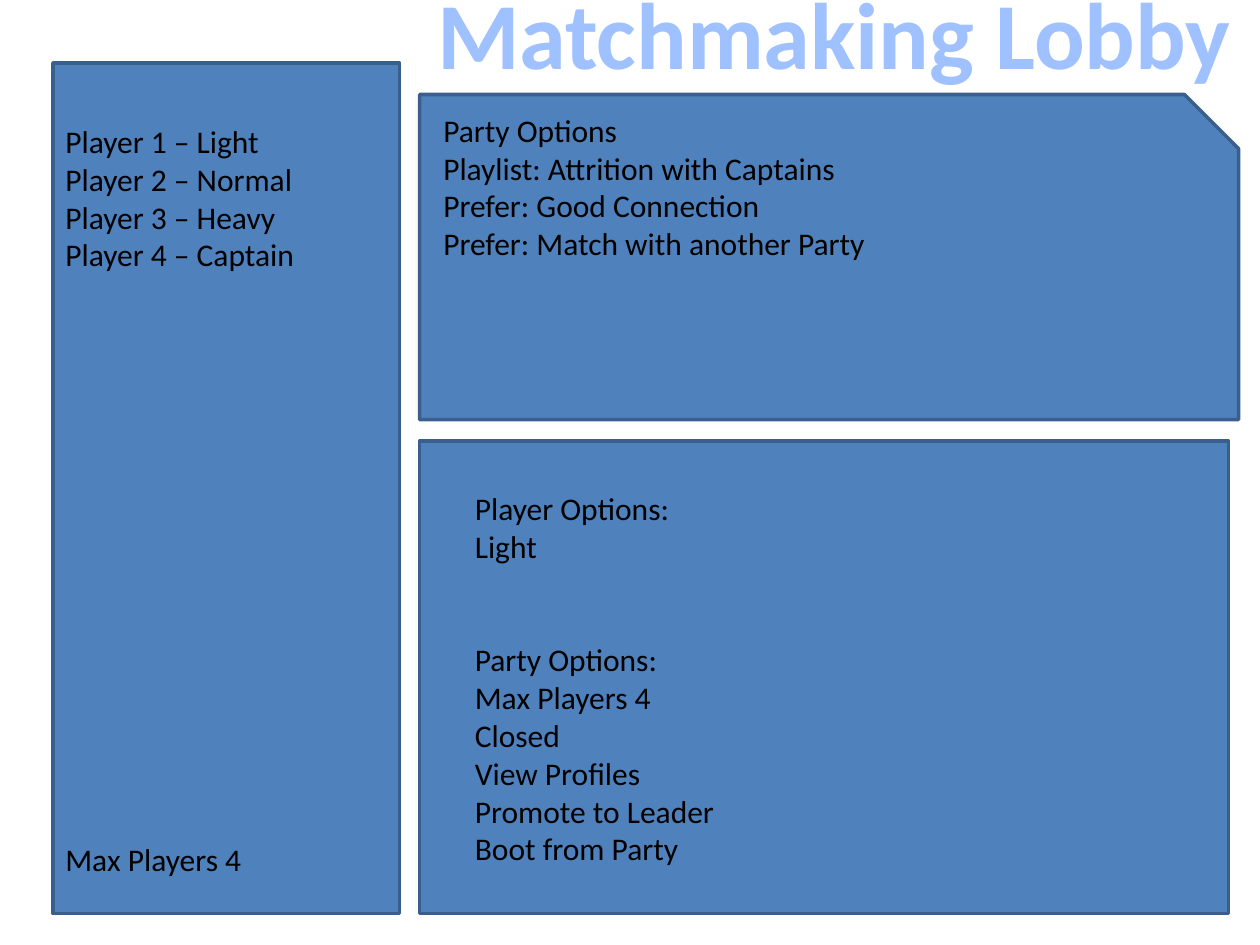
from pptx import Presentation
from pptx.dml.color import RGBColor
from pptx.enum import shapes, text
from pptx.util import Inches, Pt

COLORS = {"panel": "4F81BD", "border": "3A5F8C", "title": "A0C1FF", "body": "000000"}
FONT = "Calibri"
BODY_SIZE = 18


def rgb(name):
    """Return a named colour of the slide."""
    return RGBColor.from_string(COLORS[name])


def place(item, left, top, width, height):
    """Move and size an element, in inches."""
    item.left, item.top = Inches(left), Inches(top)
    item.width, item.height = Inches(width), Inches(height)


def style_font(font, size, color, bold=False):
    """Set typeface, size, colour and weight."""
    font.name, font.size, font.bold = FONT, Pt(size), bold
    font.color.rgb = rgb(color)


def add_heading(slide, wording, box):
    """Fill the title placeholder with the slide heading."""
    heading = slide.shapes.title
    place(heading, *box)
    frame = heading.text_frame
    frame.text = wording
    frame.word_wrap = False
    frame.auto_size = text.MSO_AUTO_SIZE.NONE
    frame.vertical_anchor = text.MSO_ANCHOR.TOP
    line = frame.paragraphs[0]
    line.alignment = text.PP_ALIGN.CENTER
    style_font(line.runs[0].font, 54, "title", bold=True)


def add_panel(slide, preset, box):
    """Draw one bordered background panel."""
    panel = slide.shapes.add_shape(preset, *map(Inches, box))
    panel.shadow.inherit = False
    panel.fill.solid()
    panel.fill.fore_color.rgb = rgb("panel")
    panel.line.color.rgb = rgb("border")
    panel.line.width = Pt(2)


def add_list(slide, groups, box, gap=0):
    """Write groups of lines, set apart by a gap in points."""
    frame = slide.shapes.add_textbox(*map(Inches, box)).text_frame
    frame.word_wrap = True
    entries = [(entry, number > 0 and position == 0)
               for number, group in enumerate(groups)
               for position, entry in enumerate(group)]
    for index, (entry, starts_group) in enumerate(entries):
        line = frame.add_paragraph() if index else frame.paragraphs[0]
        line.text = entry
        style_font(line.runs[0].font, BODY_SIZE, "body")
        if starts_group:
            line.space_before = Pt(gap)


def main():
    """Build the lobby slide."""
    deck = Presentation()
    deck.slide_width, deck.slide_height = Inches(10), Inches(7.5)
    slide = deck.slides.add_slide(deck.slide_layouts.get_by_name("Title Only"))

    preset = shapes.MSO_SHAPE
    add_panel(slide, preset.RECTANGLE, (3.33, 3.5, 6.42, 3.75))
    add_panel(slide, preset.SNIP_1_RECTANGLE, (3.33, 0.75, 6.5, 2.58))
    add_panel(slide, preset.RECTANGLE, (0.42, 0.5, 2.75, 6.75))
    add_heading(slide, "Matchmaking Lobby", (3.33, -0.25, 6.58, 1.01))

    players = ["Player 1 – Light", "Player 2 – Normal",
               "Player 3 – Heavy", "Player 4 – Captain"]
    add_list(slide, [players, ["Max Players 4"]], (0.42, 0.92, 2.42, 6.16), gap=324)

    matchmaking = ["Party Options", "Playlist: Attrition with Captains",
                   "Prefer: Good Connection", "Prefer: Match with another Party"]
    add_list(slide, [matchmaking], (3.42, 0.83, 6, 1.92))

    player_options = ["Player Options:", "Light"]
    party_options = ["Party Options:", "Max Players 4", "Closed", "View Profiles",
                     "Promote to Leader", "Boot from Party"]
    add_list(slide, [player_options, party_options], (3.67, 3.83, 5.75, 3.43), gap=43.5)

    deck.save("out.pptx")


main()
